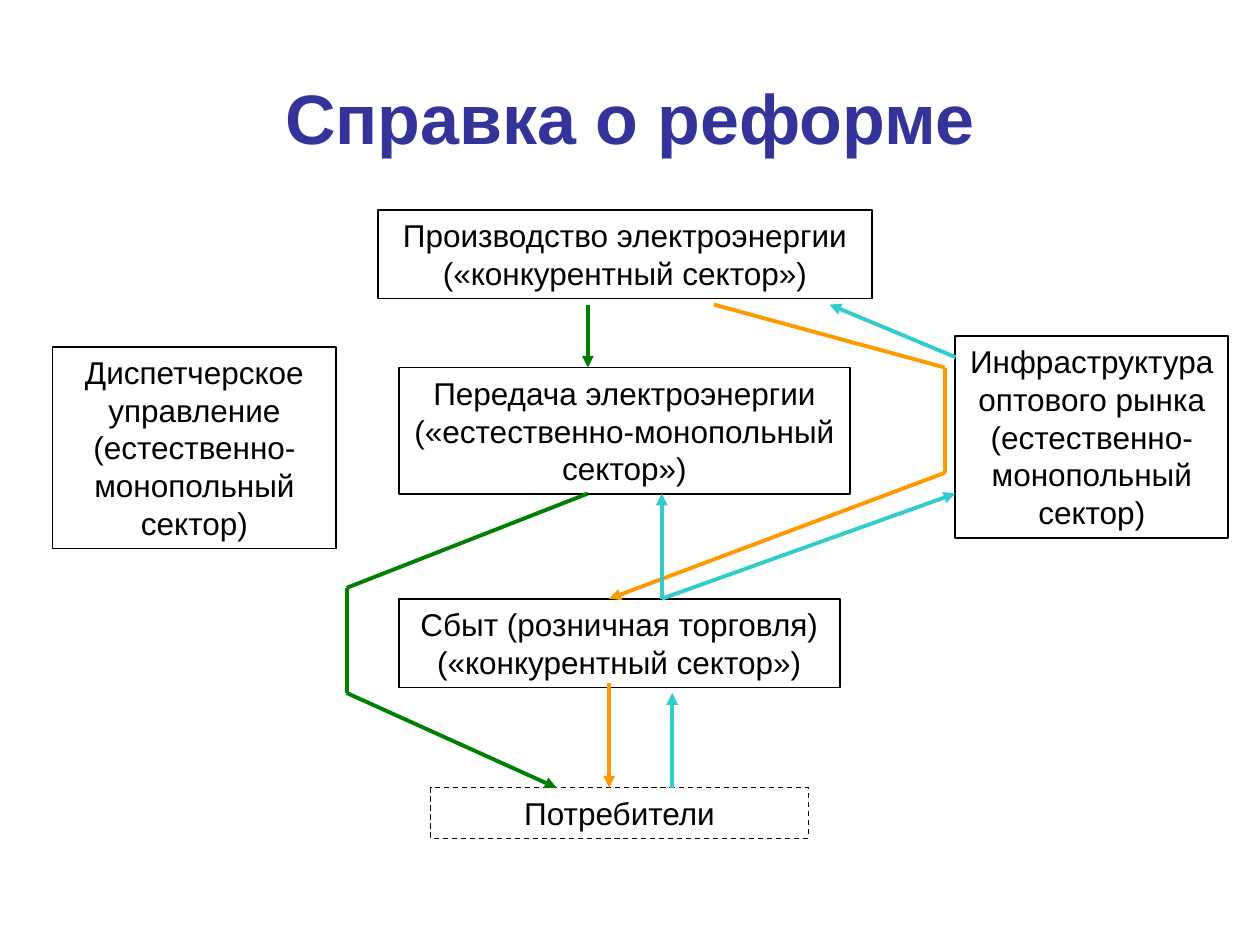
from itertools import pairwise

from lxml import etree
from pptx import Presentation
from pptx.dml.color import RGBColor
from pptx.enum.dml import MSO_LINE
from pptx.enum.shapes import MSO_CONNECTOR, MSO_SHAPE
from pptx.enum.text import MSO_ANCHOR, MSO_AUTO_SIZE, PP_ALIGN
from pptx.oxml.ns import qn
from pptx.util import Cm, Pt

RECTANGLE = MSO_SHAPE.RECTANGLE
STRAIGHT = MSO_CONNECTOR.STRAIGHT
CENTER = PP_ALIGN.CENTER
TOP = MSO_ANCHOR.TOP
MIDDLE = MSO_ANCHOR.MIDDLE
GROW = MSO_AUTO_SIZE.SHAPE_TO_FIT_TEXT
DASH = MSO_LINE.DASH
TITLE_ONLY = 5

COLORS = {
    "title": "333399",
    "ink": "000000",
    "green": "008000",
    "orange": "FF9900",
    "cyan": "33CCCC",
}

# Left, top, width, height in cm, then the lines of text
SECTORS = [
    (7.62, 4.23, 9.96, 1.79, ["Производство электроэнергии («конкурентный сектор»)"]),
    (8.04, 7.41, 9.1, 2.55,
     ["Передача электроэнергии", "(«естественно-монопольный сектор»)"]),
    (8.04, 12.07, 8.89, 1.79, ["Сбыт (розничная торговля) («конкурентный сектор»)"]),
    (1.06, 6.99, 5.72, 4.07,
     ["Диспетчерское управление (естественно-монопольный сектор)"]),
    (19.26, 6.77, 5.5, 4.07,
     ["Инфраструктура оптового рынка (естественно-монопольный сектор)"]),
]

# Each flow is a colour and its points in cm; the arrow is at the last point
FLOWS = [
    ("green", [(11.85, 6.14), (11.85, 7.41)]),
    ("green", [(11.85, 9.95), (6.99, 11.85), (6.99, 13.97), (11.22, 15.88)]),
    ("orange", [(14.39, 6.14), (19.05, 7.41), (19.05, 9.53), (12.28, 12.07)]),
    ("orange", [(12.28, 13.76), (12.28, 15.88)]),
    ("cyan", [(13.55, 15.88), (13.55, 13.97)]),
    ("cyan", [(13.34, 12.07), (19.26, 9.95)]),
    ("cyan", [(19.26, 7.2), (16.72, 6.14)]),
    ("cyan", [(13.34, 12.07), (13.34, 9.95)]),
]


class ReformSlide:
    font = "Arial"
    title_size = Pt(40)
    box_size = Pt(18)
    flow_width = Pt(2.25)

    def __init__(self, slide):
        self.slide = slide

    def color(self, name):
        return RGBColor.from_string(COLORS[name])

    def add_text(self, frame, lines, size, color, bold=False):
        frame.word_wrap = True
        paragraph = frame.paragraphs[0]
        paragraph.alignment = CENTER
        for index, line in enumerate(lines):
            if index:
                paragraph.add_line_break()
            run = paragraph.add_run()
            run.text = line
            run.font.name = self.font
            run.font.size = size
            run.font.bold = bold
            run.font.color.rgb = self.color(color)

    def title(self, text):
        shape = self.slide.shapes.title
        shape.left, shape.top = Cm(1.27), Cm(0.76)
        shape.width, shape.height = Cm(22.86), Cm(3.18)
        shape.text_frame.vertical_anchor = MIDDLE
        self.add_text(shape.text_frame, [text], self.title_size, "title", bold=True)

    def box(self, left, top, width, height, lines, line_width=1, dash=None):
        shape = self.slide.shapes.add_shape(
            RECTANGLE, Cm(left), Cm(top), Cm(width), Cm(height))
        shape.shadow.inherit = False
        shape.fill.background()
        shape.line.color.rgb = self.color("ink")
        shape.line.width = Pt(line_width)
        if dash:
            shape.line.dash_style = dash
        shape.text_frame.vertical_anchor = TOP
        shape.text_frame.auto_size = GROW
        self.add_text(shape.text_frame, lines, self.box_size, "ink")

    def flow(self, color, points):
        for start, end in pairwise(points):
            connector = self.slide.shapes.add_connector(
                STRAIGHT, *(Cm(value) for value in start + end))
            connector.line.color.rgb = self.color(color)
            connector.line.width = self.flow_width
            properties = connector._element.spPr
            etree.SubElement(properties, qn("a:effectLst"))
        # Arrowhead on the last segment
        line = properties.find(qn("a:ln"))
        etree.SubElement(line, qn("a:tailEnd"), type="triangle")


def main():
    presentation = Presentation()
    presentation.slide_width = Cm(25.4)
    presentation.slide_height = Cm(19.05)
    layout = presentation.slide_layouts[TITLE_ONLY]
    reform = ReformSlide(presentation.slides.add_slide(layout))

    # Title
    reform.title("Справка о реформе")

    # Sectors of the industry and the consumers
    for sector in SECTORS:
        reform.box(*sector)
    reform.box(8.68, 15.88, 7.62, 1.02, ["Потребители"], line_width=0.75, dash=DASH)

    # Flows between them
    for color, points in FLOWS:
        reform.flow(color, points)

    presentation.save("out.pptx")


if __name__ == "__main__":
    main()
